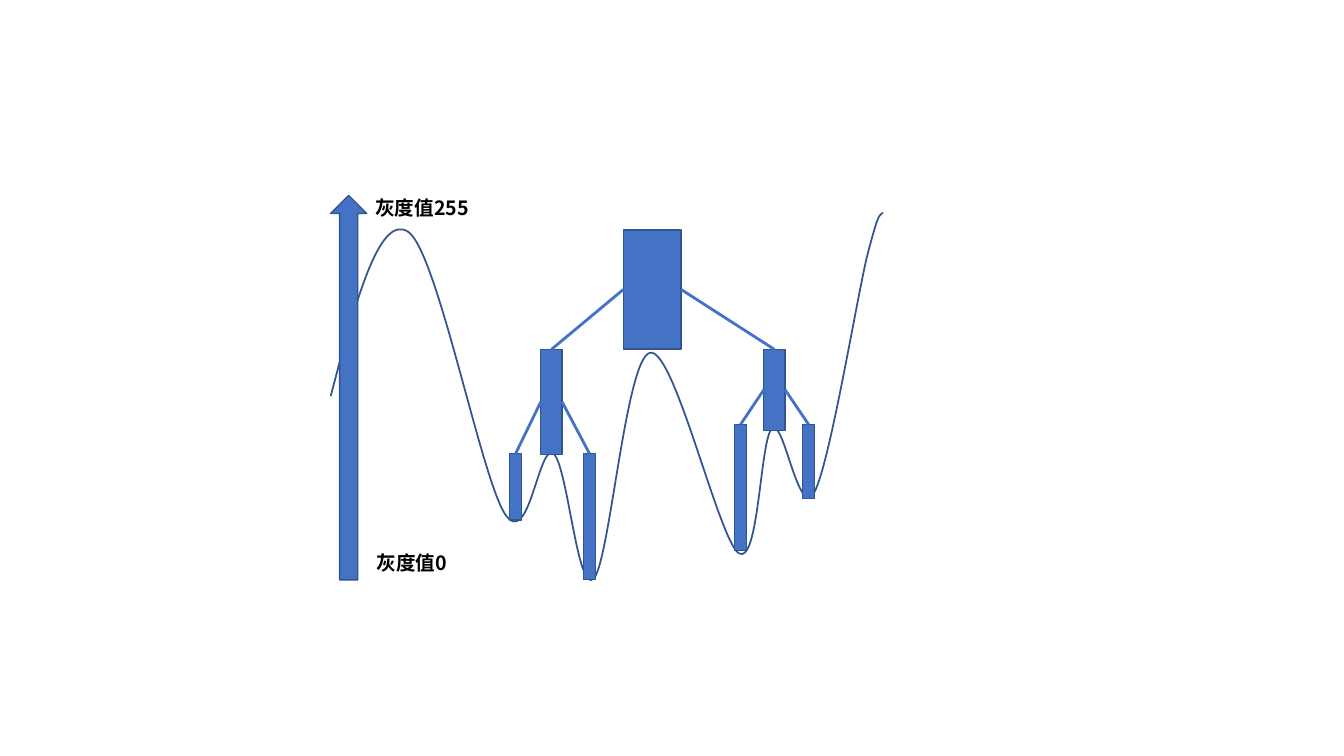
from lxml.etree import SubElement
from pptx import Presentation
from pptx.dml.color import RGBColor
from pptx.enum.shapes import MSO_CONNECTOR, MSO_SHAPE
from pptx.enum.text import MSO_AUTO_SIZE
from pptx.oxml.ns import qn
from pptx.util import Pt

COLORS = {"blue": "4472C4", "outline": "325491", "text": "000000"}
FONT = "Noto Sans CJK SC"
TOP_SITE, LEFT_SITE, RIGHT_SITE = 0, 1, 3


class SlideBuilder:
    def __init__(self, slide):
        self.shapes = slide.shapes
        self.font_format = {"name": FONT, "size": Pt(14), "bold": True}
        self.frame_format = {"word_wrap": True, "auto_size": MSO_AUTO_SIZE.SHAPE_TO_FIT_TEXT}

    def color(self, name):
        return RGBColor.from_string(COLORS[name])

    def apply(self, target, values):
        for name, value in values.items():
            setattr(target, name, value)

    def outline(self, shape, color, width):
        shape.line.color.rgb = self.color(color)
        shape.line.width = Pt(width)

    def solid(self, kind, left, top, width, height):
        shape = self.shapes.add_shape(kind, Pt(left), Pt(top), Pt(width), Pt(height))
        shape.shadow.inherit = False
        shape.fill.solid()
        shape.fill.fore_color.rgb = self.color("blue")
        self.outline(shape, "outline", 1)
        return shape

    def link(self, child, parent, parent_site):
        connector = self.shapes.add_connector(MSO_CONNECTOR.STRAIGHT, 0, 0, 0, 0)
        connector.begin_connect(child, TOP_SITE)
        connector.end_connect(parent, parent_site)
        self.outline(connector, "blue", 2)
        SubElement(connector._element.spPr, qn("a:effectLst"))

    def curve(self, start, segments):
        builder = self.shapes.build_freeform(Pt(start[0]), Pt(start[1]))
        anchors = [(Pt(segment[4]), Pt(segment[5])) for segment in segments]
        builder.add_line_segments(anchors, close=False)
        shape = builder.convert_to_shape()
        shape.shadow.inherit = False
        shape.fill.background()
        self.outline(shape, "outline", 1.25)
        lines = list(shape._element.iter(qn("a:lnTo")))
        for line, segment in zip(lines, segments):
            line.tag = qn("a:cubicBezTo")
            line.remove(line[0])
            for x, y in zip(segment[::2], segment[1::2]):
                point = SubElement(line, qn("a:pt"))
                point.set("x", str(Pt(x) - shape.left))
                point.set("y", str(Pt(y) - shape.top))

    def label(self, text, left, top, width, height):
        box = self.shapes.add_textbox(Pt(left), Pt(top), Pt(width), Pt(height))
        self.apply(box.text_frame, self.frame_format)
        run = box.text_frame.paragraphs[0].add_run()
        run.text = text
        self.apply(run.font, self.font_format)
        run.font.color.rgb = self.color("text")
        SubElement(run._r.get_or_add_rPr(), qn("a:ea")).set("typeface", FONT)


WAVE_START = (236.2, 283)
WAVE = [
    (253.4, 217.4, 270.7, 151.9, 291.6, 165.6),
    (312.5, 180, 343.4, 340.6, 360.7, 367.2),
    (378, 393.1, 384.5, 316.8, 395.3, 324),
    (405.4, 331.9, 412.6, 425.5, 424.1, 413.3),
    (435.6, 401, 447.1, 254.9, 464.4, 252),
    (481.7, 248.4, 513.4, 385.9, 527.8, 395.3),
    (542.2, 403.9, 542.9, 313.2, 551.5, 306),
    (560.2, 298.8, 570.2, 372.2, 581.8, 351.4),
    (592.6, 331.2, 611.3, 217.4, 619.2, 183.6),
    (627.8, 150.5, 627.8, 154.8, 630.7, 151.9),
]

LEVEL_WIDTHS = {"leaf": 8.4, "branch": 15.3, "root": 41.3}
BARS = {
    "left valley 1": ("leaf", 368.3, 324, 47.5, "left peak"),
    "left valley 2": ("leaf", 421.1, 324, 90, "left peak"),
    "right valley 1": ("leaf", 529, 303.2, 90, "right peak"),
    "right valley 2": ("leaf", 577.6, 303.2, 52.8, "right peak"),
    "left peak": ("branch", 393.9, 249.6, 75, "main peak"),
    "right peak": ("branch", 553.2, 249.6, 57.8, "main peak"),
    "main peak": ("root", 465.9, 164.2, 85.2, None),
}

presentation = Presentation()
presentation.slide_width, presentation.slide_height = Pt(960), Pt(540)
builder = SlideBuilder(presentation.slides.add_slide(presentation.slide_layouts[6]))

builder.curve(WAVE_START, WAVE)

bars = {}
for name, (level, center, top, height, parent) in BARS.items():
    width = LEVEL_WIDTHS[level]
    bars[name] = builder.solid(MSO_SHAPE.RECTANGLE, center - width / 2, top, width, height)

for name, (level, center, top, height, parent) in BARS.items():
    if parent:
        site = LEFT_SITE if center < BARS[parent][1] else RIGHT_SITE
        builder.link(bars[name], bars[parent], site)

builder.solid(MSO_SHAPE.UP_ARROW, 236.2, 139.6, 25.8, 274.6)
builder.label("灰度值0", 261.9, 390, 78.5, 24.2)
builder.label("灰度值255", 260.9, 136.2, 85.7, 24.2)

presentation.save("out.pptx")
